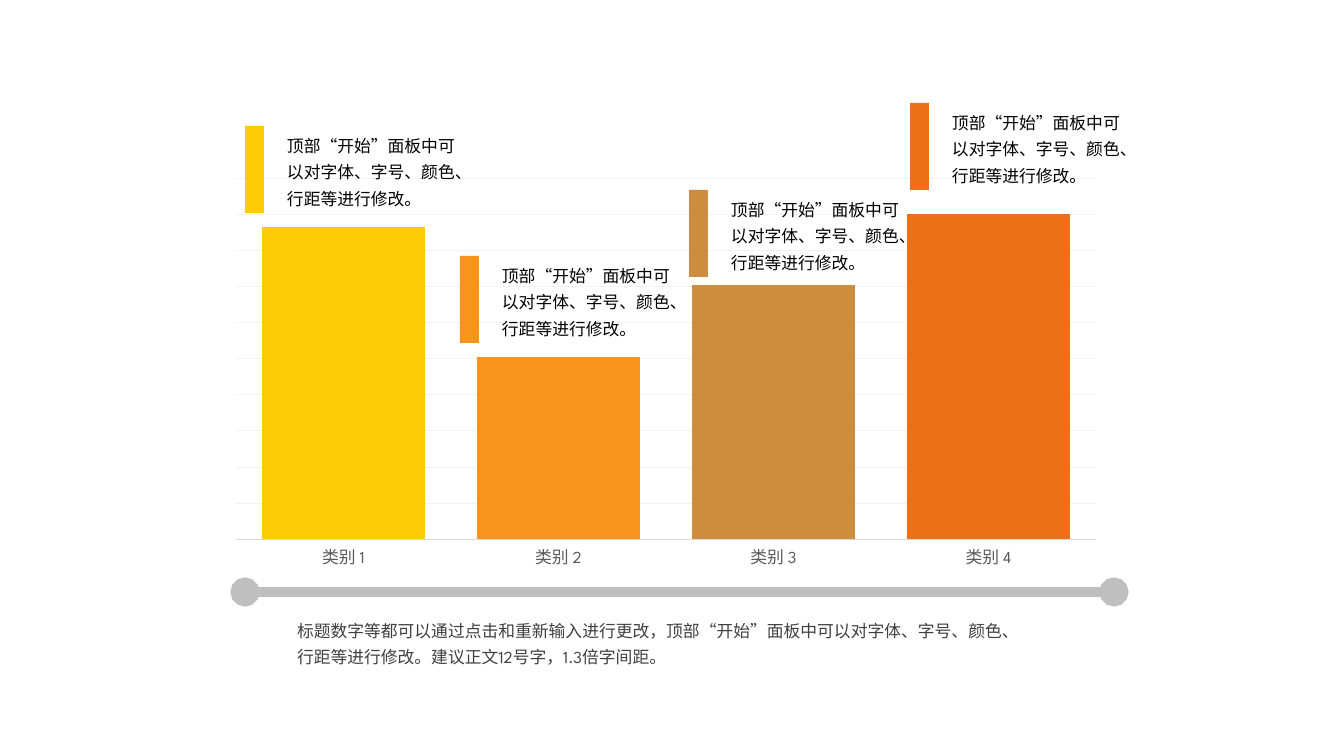
"""Build a slide with a four-column chart, a note per column and a caption line."""
from lxml.etree import SubElement
from pptx import Presentation
from pptx.chart.data import CategoryChartData
from pptx.dml.color import RGBColor as RGB
from pptx.enum.chart import XL_CHART_TYPE as CHART, XL_TICK_MARK as TICK
from pptx.enum.lang import MSO_LANGUAGE_ID as LANG
from pptx.enum.shapes import MSO_CONNECTOR as CONNECTOR, MSO_SHAPE as SHAPE
from pptx.enum.text import MSO_AUTO_SIZE as AUTO
from pptx.oxml import parse_xml
from pptx.oxml.ns import nsdecls, qn
from pptx.util import Pt

THEME = {
    "font": "League Spartan", "size": 12, "note": "000000", "caption": "404040",
    "axis_text": "595959", "axis": "D9D9D9", "grid": "F2F2F2", "rule": "BFBFBF",
    "columns": ["FFCA08", "F8931D", "CE8D3E", "EC7016"],
}
SCALE = 914400 / 100.8
NOTE = "顶部“开始”面板中可以对字体、字号、颜色、行距等进行修改。"
CAPTION = ("标题数字等都可以通过点击和重新输入进行更改，顶部“开始”面板中可以对字体、字号、颜色、"
           "行距等进行修改。建议正文12号字，1.3倍字间距。")


def px(*lengths):
    return [round(n * SCALE) for n in lengths]


def add_text(shapes, text, box, color):
    tf = shapes.add_textbox(*px(*box)).text_frame
    tf.word_wrap = True
    tf.auto_size = AUTO.SHAPE_TO_FIT_TEXT
    tf.margin_left, tf.margin_right, tf.margin_top, tf.margin_bottom = px(7, 7, 4, 4)
    p = tf.paragraphs[0]
    p.line_spacing = 1.3
    r = p.add_run()
    r.text = text
    r.font.name = THEME["font"]
    r.font.size = Pt(THEME["size"])
    r.font.color.rgb = RGB.from_string(color)
    r.font.language_id = LANG.SIMPLIFIED_CHINESE


prs = Presentation()
prs.slide_width, prs.slide_height = px(1344, 756)
s = prs.slides.add_slide(prs.slide_layouts[6])

data = CategoryChartData()
data.categories = [f"类别 {n}" for n in range(1, 5)]
data.add_series("Series 1", [96, 56, 78, 100])
chart = s.shapes.add_chart(CHART.COLUMN_CLUSTERED, *px(218, 170, 896, 406), data).chart
chart.has_legend = False
chart.has_title = False
chart.font.name = THEME["font"]
chart.font.size = Pt(10)
chart.font.color.rgb = RGB.from_string(THEME["note"])

plot = chart.plots[0]
plot.vary_by_categories = False
plot.gap_width = 32
plot.overlap = -21
series = plot.series[0]
series.format.fill.solid()
series.format.fill.fore_color.rgb = RGB.from_string(THEME["columns"][0])
for i, color in enumerate(THEME["columns"][1:], 1):
    fill = series.points[i].format.fill
    fill.solid()
    fill.fore_color.rgb = RGB.from_string(color)

cats = chart.category_axis
cats.major_tick_mark = cats.minor_tick_mark = TICK.NONE
cats.tick_labels.font.name = THEME["font"]
cats.tick_labels.font.size = Pt(THEME["size"])
cats.tick_labels.font.color.rgb = RGB.from_string(THEME["axis_text"])
vals = chart.value_axis
vals.visible = False
vals.minimum_scale, vals.maximum_scale, vals.major_unit = 0, 111, 11.1
vals.has_major_gridlines = True
for line, color in ((cats.format.line, "axis"), (vals.major_gridlines.format.line, "grid")):
    line.width = Pt(0.75)
    line.color.rgb = RGB.from_string(THEME[color])

area = chart._chartSpace.chart.plotArea
for layout in area.findall(qn("c:layout")):
    area.remove(layout)
layout = parse_xml(f"<c:layout {nsdecls('c')}><c:manualLayout/></c:layout>")
for tag, val in (("layoutTarget", "inner"), ("xMode", "edge"), ("yMode", "edge"),
                 ("x", "0.02"), ("y", "0.02"), ("w", "0.96"), ("h", "0.89")):
    SubElement(layout[0], qn(f"c:{tag}")).set("val", val)
area.insert(0, layout)

add_text(s.shapes, CAPTION, (290, 611, 752, 60), THEME["caption"])

rule = s.shapes.add_connector(CONNECTOR.STRAIGHT, *px(245, 592, 1114, 592))
rule.line.width = Pt(7)
rule.line.color.rgb = RGB.from_string(THEME["rule"])
for end in ("headEnd", "tailEnd"):
    SubElement(rule.line._get_or_add_ln(), qn(f"a:{end}")).set("type", "oval")
SubElement(rule._element.spPr, qn("a:effectLst"))

corners = [(245, 126), (460, 256), (689, 190), (910, 103)]
for (x, y), color in zip(corners, THEME["columns"]):
    group = s.shapes.add_group_shape()
    add_text(group.shapes, NOTE, (x + 35, y, 186, 87), THEME["note"])
    sp = group.shapes.add_shape(SHAPE.RECTANGLE, *px(x, y, 19, 87))
    sp.shadow.inherit = False
    sp.fill.solid()
    sp.fill.fore_color.rgb = RGB.from_string(color)
    sp.line.fill.background()

prs.save("out.pptx")
